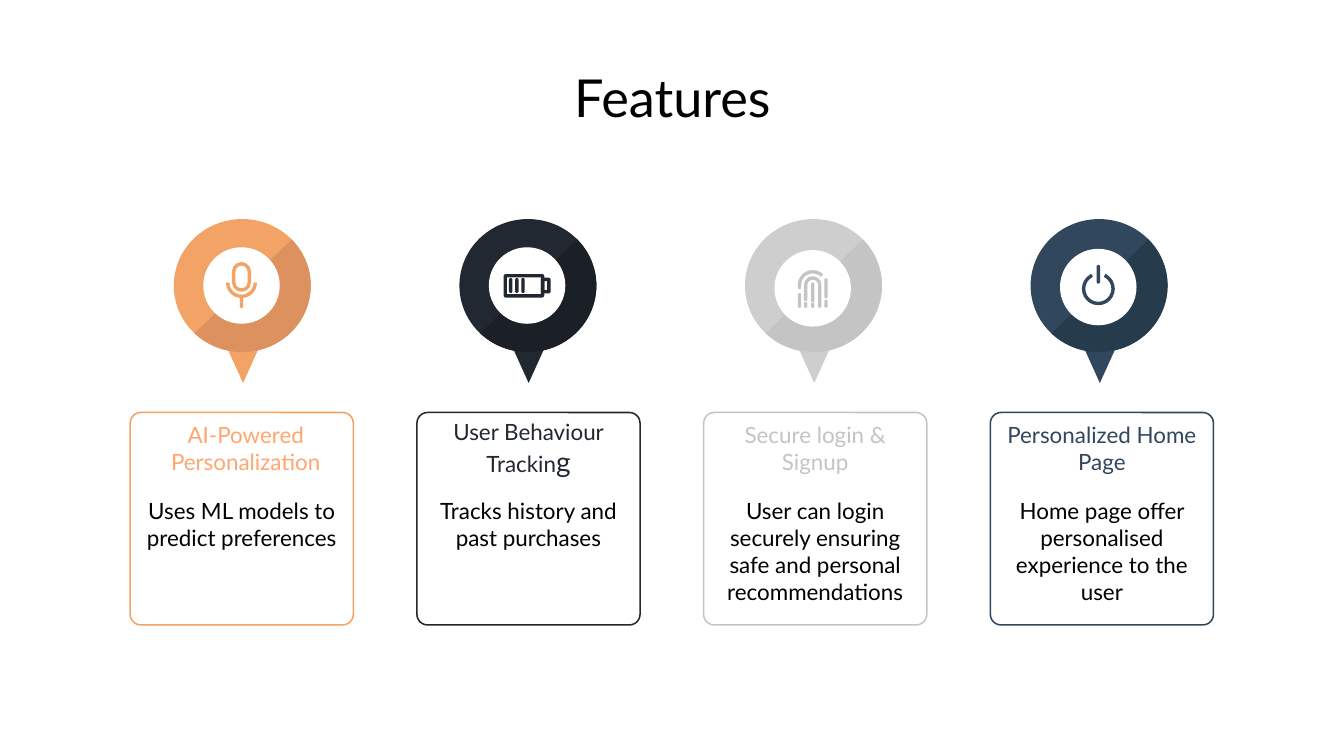
from pptx import Presentation
from pptx.dml.color import RGBColor
from pptx.enum.shapes import MSO_SHAPE as Shape
from pptx.enum.text import MSO_ANCHOR as Anchor, PP_ALIGN as Align
from pptx.util import Pt

# Content
TITLE = "Features"
FEATURES = [
    dict(heading="AI-Powered Personalization", body="Uses ML models to predict preferences",
         icon="microphone", color="F2A365", shade="DD915E", ink="FFA66F", heading_width=123.8),
    dict(heading="User Behaviour Tracking", body="Tracks history and past purchases",
         icon="battery", color="222831", shade="1B1F26", big_ending="g"),
    dict(heading="Secure login & Signup",
         body="User can login securely ensuring safe and personal recommendations",
         icon="fingerprint", color="C4C4C4", shade="C4C4C4", pin="CECECE", hole_drop=1.5),
    dict(heading="Personalized Home Page",
         body="Home page offer personalised experience to the user",
         icon="power", color="30475E", shade="263C4C", hole_drop=0.8),
]

# Icon parts around the icon centre, in points
# bar: x, top, bottom   box: left, top, width, height, rounding   arc: x, y, radius, start, end
ICONS = {
    "microphone": [("box", -4.2, -11.7, 8.4, 14.1, 0.5), ("arc", 0, -1.6, 7.4, 0, 180),
                   ("bar", 0, 5.8, 12)],
    "battery": [("box", -11.7, -5.3, 20, 10.8, 0.03), ("box", 8.3, -3.3, 3.4, 6.6, 0.05),
                ("bar", -8.8, -4, 4), ("bar", -5.5, -4, 4), ("bar", -2.2, -4, 4)],
    "fingerprint": [("arc", 0, -1.8, 7.1, 180, 315), ("arc", 0, -1.8, 3.8, 180, 360),
                    ("bar", -7.1, -2, 0.5), ("bar", -7.1, 2.5, 10.4),
                    ("bar", -3.8, -2, 6.8), ("bar", -3.8, 7.2, 10.4),
                    ("bar", 0, -3.2, 7.5), ("bar", 0, 7.6, 10.4),
                    ("bar", 3.8, -2, 10.4),
                    ("bar", 7.1, -5.4, 5.4), ("bar", 7.1, 6.1, 10.4)],
    "power": [("arc", 0, 0.9, 7.9, 295, 245), ("bar", 0, -11.9, -1.8)],
}

THEME = dict(font="Lato", text="000000", white="FFFFFF", title_size=28, text_size=12,
             big_size=15, card_line=0.81, icon_line=1.8)

# Layout
CARD_LEFT, CARD_TOP, CARD_W, CARD_H, CARD_PITCH = 69.8, 221, 119.5, 113.8, 153.6
HEADING_H = 38.2
PIN_X, PIN_Y, PIN_W, PIN_H, PIN_PITCH = 129.8, 153, 73.4, 71.3, 153
TAIL_TOP, TAIL_W, TAIL_H = 182.2, 20.8, 23
HOLE = 41
INSET = 7.2
DEGREE = 0.6  # one degree as an adjustment value


def rgb(code):
    return RGBColor.from_string(code)


def draw(shapes, kind, box, fill=None, line=None, width=1, adjust=()):
    part = shapes.add_shape(kind, *map(Pt, box))
    part.shadow.inherit = False
    if fill:
        part.fill.solid()
        part.fill.fore_color.rgb = rgb(fill)
    else:
        part.fill.background()
    if line:
        part.line.color.rgb = rgb(line)
        part.line.width = Pt(width)
    else:
        part.line.fill.background()
    for index, value in enumerate(adjust):
        part.adjustments[index] = value
    return part


def centred(x, y, w, h):
    return x - w / 2, y - h / 2, w, h


def write(frame, text, size, color, anchor, big_ending=""):
    frame.word_wrap = True
    frame.vertical_anchor = anchor
    frame.margin_left = frame.margin_right = frame.margin_top = frame.margin_bottom = Pt(INSET)
    paragraph = frame.paragraphs[0]
    paragraph.text = text.removesuffix(big_ending)
    paragraph.alignment = Align.CENTER
    if big_ending:
        paragraph.add_run().text = big_ending
    for run in paragraph.runs:
        run.font.name = THEME["font"]
        run.font.size = Pt(size)
        run.font.color.rgb = rgb(color)
    if big_ending:
        paragraph.runs[-1].font.size = Pt(THEME["big_size"])


def draw_icon(shapes, name, x, y, color):
    stroke = THEME["icon_line"]
    for kind, *values in ICONS[name]:
        if kind == "bar":
            dx, top, bottom = values
            draw(shapes, Shape.ROUNDED_RECTANGLE,
                 (x + dx - stroke / 2, y + top, stroke, bottom - top), color, adjust=[0.5])
        elif kind == "box":
            left, top, w, h, rounding = values
            draw(shapes, Shape.ROUNDED_RECTANGLE, (x + left, y + top, w, h),
                 line=color, width=stroke, adjust=[rounding])
        else:
            dx, dy, radius, start, end = values
            draw(shapes, Shape.ARC, centred(x + dx, y + dy, 2 * radius, 2 * radius),
                 line=color, width=stroke, adjust=[start * DEGREE, end % 360 * DEGREE])


def draw_pin(slide, feature, x):
    shapes = slide.shapes.add_group_shape().shapes
    color = feature.get("pin", feature["color"])
    disc = centred(x, PIN_Y, PIN_W, PIN_H)
    tail = draw(shapes, Shape.ISOSCELES_TRIANGLE,
                (x - TAIL_W / 2 + 0.4, TAIL_TOP, TAIL_W, TAIL_H), color)
    tail.rotation = 180
    draw(shapes, Shape.OVAL, disc, color)
    draw(shapes, Shape.CHORD, disc, feature["shade"], adjust=[317 * DEGREE, 135 * DEGREE])
    hole_x, hole_y = x - 0.4, PIN_Y + feature.get("hole_drop", 0)
    draw(shapes, Shape.OVAL, centred(hole_x, hole_y, HOLE, HOLE), THEME["white"])
    draw_icon(shapes, feature["icon"], hole_x, hole_y, feature["color"])


def draw_card(slide, feature, left):
    draw(slide.shapes, Shape.ROUNDED_RECTANGLE, (left, CARD_TOP, CARD_W, CARD_H),
         line=feature["color"], width=THEME["card_line"], adjust=[0.05])
    heading = slide.shapes.add_textbox(
        Pt(left), Pt(CARD_TOP), Pt(feature.get("heading_width", CARD_W)), Pt(HEADING_H))
    write(heading.text_frame, feature["heading"], THEME["text_size"],
          feature.get("ink", feature["color"]), Anchor.MIDDLE, feature.get("big_ending", ""))
    body = slide.shapes.add_textbox(
        Pt(left), Pt(CARD_TOP + HEADING_H), Pt(CARD_W), Pt(CARD_H - HEADING_H))
    write(body.text_frame, feature["body"], THEME["text_size"], THEME["text"], Anchor.TOP)


def main():
    deck = Presentation()
    deck.slide_width, deck.slide_height = Pt(720), Pt(405)
    slide = deck.slides.add_slide(deck.slide_layouts[5])

    # Title
    title = slide.shapes.title
    title.left, title.top, title.width, title.height = map(Pt, (56, 32.4, 608.4, 38.2))
    write(title.text_frame, TITLE, THEME["title_size"], THEME["text"], Anchor.MIDDLE)

    # Pins and cards
    for column, feature in enumerate(FEATURES):
        draw_pin(slide, feature, PIN_X + column * PIN_PITCH)
        draw_card(slide, feature, CARD_LEFT + column * CARD_PITCH)

    deck.save("out.pptx")


if __name__ == "__main__":
    main()
